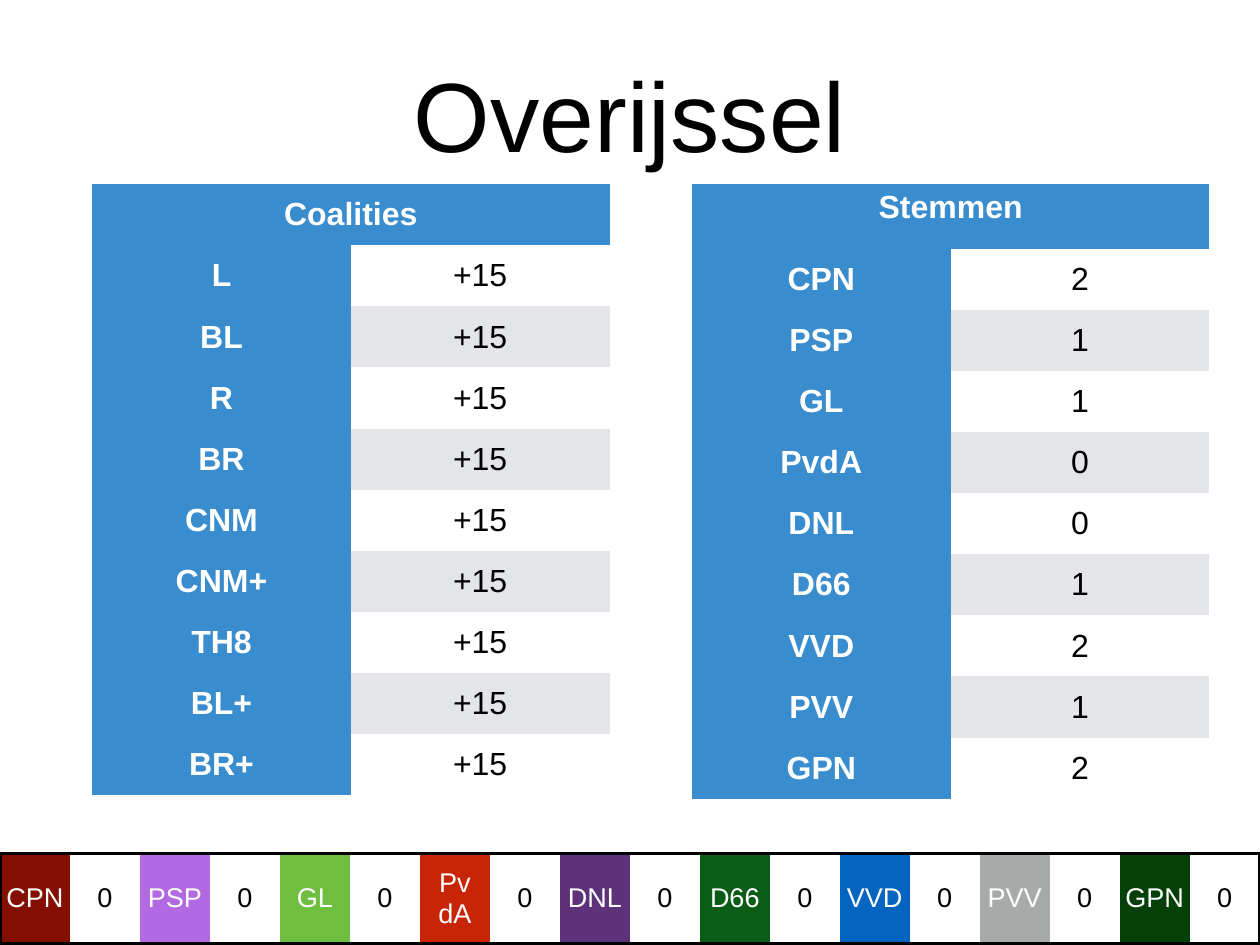
"""Overijssel slide with coalition and vote tables above a party strip."""
from lxml.etree import SubElement
from pptx import Presentation
from pptx.dml.color import RGBColor
from pptx.enum.text import MSO_ANCHOR as Anchor, PP_ALIGN as Align
from pptx.oxml.ns import qn
from pptx.util import Inches, Pt

BLUE, GREY, WHITE, BLACK = "398CCE", "E3E5E8", "FFFFFF", "000000"
NO_STYLE = "{2D5ABB26-0587-4C30-8999-92F81FD0307C}"


def write(holder, text, size, color, bold=False):
    """Put centred text into a text frame, breaking at newlines."""
    para = holder.paragraphs[0]
    para.alignment = Align.CENTER
    for index, line in enumerate(text.split("\n")):
        if index:
            para.add_line_break()
        span = para.add_run()
        span.text = line
        span.font.name, span.font.size, span.font.bold = "Arial", Pt(size), bold
        span.font.color.rgb = RGBColor.from_string(color)


def add_grid(rows, left, top, column_width, row_height, size):
    """Add a table from rows of (text, fill, text colour, bold) entries."""
    columns = len(rows[-1])
    table = page.shapes.add_table(len(rows), columns, Inches(left), Inches(top),
                                  Inches(column_width * columns),
                                  Inches(row_height * len(rows))).table
    table.first_row = table.horz_banding = False
    table._tbl.tblPr.find(qn("a:tableStyleId")).text = NO_STYLE
    for column in table.columns:
        column.width = Inches(column_width)
    for r, row in enumerate(rows):
        table.rows[r].height = Inches(row_height)
        if len(row) < columns:
            table.cell(r, 0).merge(table.cell(r, columns - 1))
        for c, (text, fill, color, bold) in enumerate(row):
            cell = table.cell(r, c)
            cell.margin_left = cell.margin_right = Inches(0.06)
            cell.margin_top = cell.margin_bottom = Inches(0.06)
            cell.vertical_anchor = Anchor.MIDDLE
            cell.fill.solid()
            cell.fill.fore_color.rgb = RGBColor.from_string(fill)
            write(cell.text_frame, text, size, color, bold)
    return table


deck = Presentation()
deck.slide_width, deck.slide_height = Inches(14.22), Inches(10.67)
page = deck.slides.add_slide(deck.slide_layouts[6])

title = page.shapes.add_textbox(Inches(1.04), Inches(0.49), Inches(12.14), Inches(1.57)).text_frame
title.word_wrap = True
title.vertical_anchor = Anchor.MIDDLE
title.margin_left = title.margin_right = Inches(0.06)
title.margin_top = title.margin_bottom = Inches(0.06)
write(title, "Overijssel", 80, BLACK)

parties = {"CPN": "840F00", "PSP": "B269E1", "GL": "6FBE40", "PvdA": "C82506", "DNL": "5E327B",
           "D66": "0A5C17", "VVD": "0365C0", "PVV": "A6AAA9", "GPN": "054008"}
coalitions = ["L", "BL", "R", "BR", "CNM", "CNM+", "TH8", "BL+", "BR+"]
tables = []
for heading, left, names, values in [
    ("Coalities", 1.04, coalitions, ["+15"] * len(coalitions)),
    ("Stemmen", 7.81, parties, "211001212"),
]:
    rows = [[(heading, BLUE, WHITE, True)]]
    for index, (name, value) in enumerate(zip(names, values)):
        rows.append([(name, BLUE, WHITE, True),
                     (value, GREY if index % 2 else WHITE, BLACK, False)])
    tables.append(add_grid(rows, left, 2.08, 2.92, 0.69, 26))
votes = tables[1]
votes.rows[0].height = Inches(0.73)
votes.cell(0, 0).vertical_anchor = Anchor.TOP

strip_row = []
for name, color in parties.items():
    label = "Pv\ndA" if name == "PvdA" else name
    strip_row += [(label, color, WHITE, False), ("0", WHITE, BLACK, False)]
strip = add_grid([strip_row], 0, 9.64, 0.79, 1.01, 22)
last = len(strip_row) - 1
for index in range(len(strip_row)):
    sides = ["L"] * (index == 0) + ["R"] * (index == last) + ["T", "B"]
    properties = strip.cell(0, index)._tc.get_or_add_tcPr()
    for place, side in enumerate(sides):
        border = SubElement(properties, qn(f"a:ln{side}"), w=str(Pt(3)))
        SubElement(SubElement(border, qn("a:solidFill")), qn("a:srgbClr"), val=BLACK)
        properties.insert(place, border)

deck.save("out.pptx")
